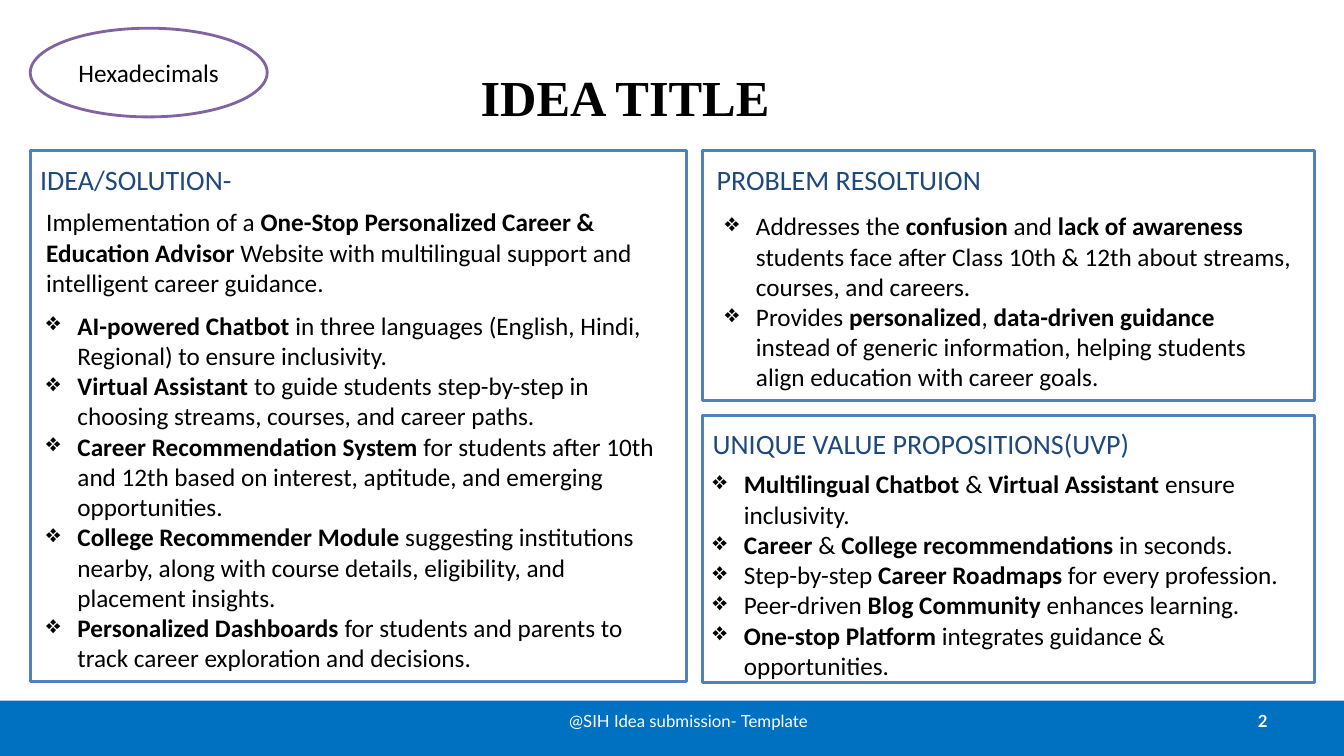
from lxml import etree
from pptx import Presentation
from pptx.dml.color import RGBColor
from pptx.enum.shapes import MSO_SHAPE as Shape
from pptx.enum.text import MSO_ANCHOR as Anchor, PP_ALIGN as Align
from pptx.oxml.ns import qn
from pptx.util import Emu, Pt

PX = 9144
COLORS = {
    "white": "FFFFFF", "black": "000000", "footer": "0070C0",
    "badge": "8064A2", "panel": "4F81BD", "heading": "1F497D",
}
SLIDE_SIZE = (1333, 750)
BULLET = "❖"
BULLET_INDENT = 31

TITLE = "IDEA TITLE"
TEAM = "Hexadecimals"
FOOTER = "@SIH Idea submission- Template"
PAGE = "2"

PANELS = [
    {
        "frame": (30, 149, 651, 527),
        "heading": ("IDEA/SOLUTION-", (30, 156, 581, 44)),
        "body": (36, 200, 645, 478),
        "intro": "Implementation of a **One-Stop Personalized Career & Education Advisor** "
                 "Website with multilingual support and intelligent career guidance.",
        "bullets": [
            "**AI-powered Chatbot** in three languages (English, Hindi, Regional) to ensure inclusivity.",
            "**Virtual Assistant** to guide students step-by-step in choosing streams, courses, "
            "and career paths.",
            "**Career Recommendation System** for students after 10th and 12th based on interest, "
            "aptitude, and emerging opportunities.",
            "**College Recommender Module** suggesting institutions nearby, along with course "
            "details, eligibility, and placement insights.",
            "**Personalized Dashboards** for students and parents to track career exploration "
            "and decisions.",
        ],
    },
    {
        "frame": (697, 149, 607, 248),
        "heading": ("PROBLEM RESOLTUION", (701, 156, 565, 44)),
        "body": (709, 204, 583, 180),
        "intro": None,
        "bullets": [
            "Addresses the **confusion** and **lack of awareness** students face after "
            "Class 10th & 12th about streams, courses, and careers.",
            "Provides **personalized**, **data-driven guidance **instead of generic information, "
            "helping students align education with career goals.",
        ],
    },
    {
        "frame": (697, 412, 607, 265),
        "heading": ("UNIQUE VALUE PROPOSITIONS(UVP)", (697, 418, 591, 44)),
        "body": (697, 460, 607, 222),
        "intro": None,
        "bullets": [
            "**Multilingual Chatbot** & **Virtual Assistant **ensure inclusivity.",
            "**Career** & **College recommendations** in seconds.",
            "Step-by-step **Career Roadmaps** for every profession.",
            "Peer-driven **Blog Community** enhances learning.",
            "**One-stop Platform** integrates guidance & opportunities.",
        ],
    },
]


def emu(box):
    return [Emu(value * PX) for value in box]


def color(name):
    return RGBColor.from_string(COLORS[name])


def add_box(slide, kind, box, fill=None, line=None):
    shape = slide.shapes.add_shape(kind, *emu(box))
    shape.shadow.inherit = False
    if fill:
        shape.fill.solid()
        shape.fill.fore_color.rgb = color(fill)
    else:
        shape.fill.background()
    if line:
        shape.line.color.rgb = color(line)
        shape.line.width = Pt(2)
    else:
        shape.line.fill.background()
    return shape


def add_text_frame(slide, box, anchor=Anchor.TOP):
    frame = slide.shapes.add_textbox(*emu(box)).text_frame
    frame.word_wrap = True
    frame.vertical_anchor = anchor
    return frame


def write(paragraph, text, size, font="Calibri", ink="black", bold=False, align=Align.LEFT):
    paragraph.alignment = align
    for index, part in enumerate(text.split("**")):
        if part:
            run = paragraph.add_run()
            run.text = part
            run.font.name = font
            run.font.size = Pt(size)
            run.font.bold = bold or index % 2 == 1
            run.font.color.rgb = color(ink)


def add_bullet(paragraph):
    properties = paragraph._p.get_or_add_pPr()
    properties.set("marL", str(BULLET_INDENT * PX))
    properties.set("indent", str(-BULLET_INDENT * PX))
    etree.SubElement(properties, qn("a:buChar")).set("char", BULLET)


def add_panel(slide, panel):
    add_box(slide, Shape.RECTANGLE, panel["frame"], line="panel")
    heading, heading_box = panel["heading"]
    write(add_text_frame(slide, heading_box).paragraphs[0], heading, 20, ink="heading")
    frame = add_text_frame(slide, panel["body"])
    paragraph = frame.paragraphs[0]
    if panel["intro"]:
        paragraph.space_after = Pt(9)
        write(paragraph, panel["intro"], 18)
        paragraph = frame.add_paragraph()
    for index, text in enumerate(panel["bullets"]):
        if index:
            paragraph = frame.add_paragraph()
        add_bullet(paragraph)
        write(paragraph, text, 18)


def main():
    presentation = Presentation()
    presentation.slide_width, presentation.slide_height = emu(SLIDE_SIZE)
    slide = presentation.slides.add_slide(presentation.slide_layouts[6])

    add_box(slide, Shape.RECTANGLE, (0, 695, 1333, 55), fill="footer")
    title = add_text_frame(slide, (20, 62, 1200, 68), Anchor.MIDDLE)
    write(title.paragraphs[0], TITLE, 36, "Times New Roman", bold=True, align=Align.CENTER)

    page = add_text_frame(slide, (956, 695, 311, 40), Anchor.MIDDLE)
    write(page.paragraphs[0], PAGE, 12, "Lato", "white", True, Align.RIGHT)
    footer = add_text_frame(slide, (508, 695, 350, 40), Anchor.MIDDLE)
    write(footer.paragraphs[0], FOOTER, 12, "Lato", "white", align=Align.CENTER)

    badge = add_box(slide, Shape.OVAL, (30, 28, 235, 88), "white", "badge").text_frame
    badge.vertical_anchor = Anchor.MIDDLE
    write(badge.paragraphs[0], TEAM, 18, align=Align.CENTER)

    for panel in PANELS:
        add_panel(slide, panel)
    presentation.save("out.pptx")


if __name__ == "__main__":
    main()
